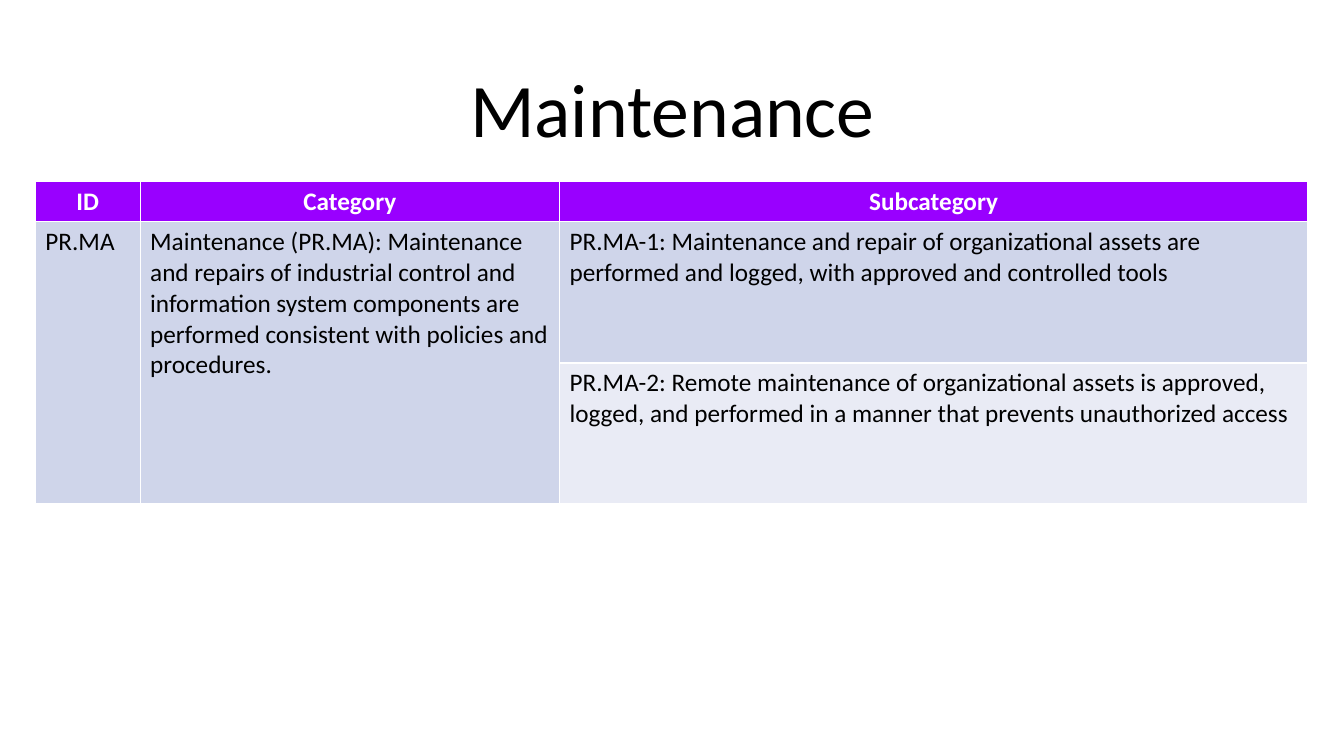
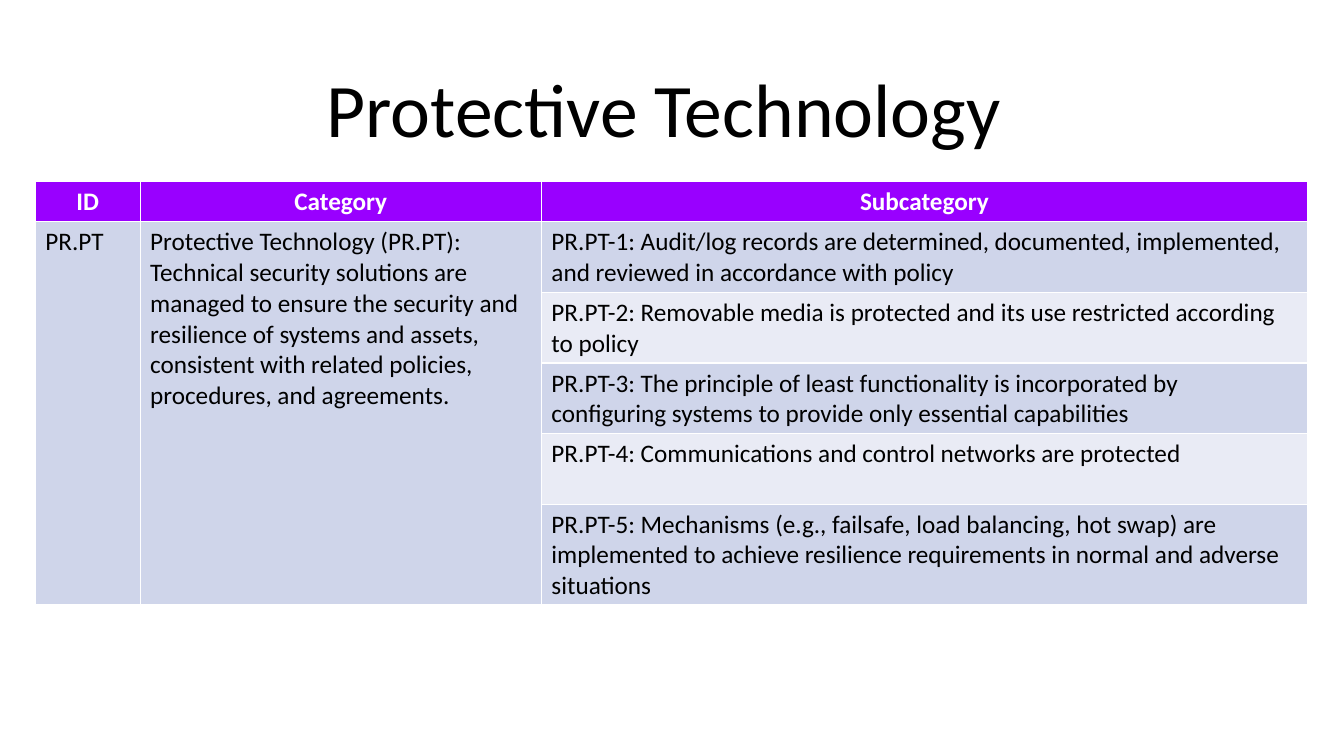
from pptx import Presentation
from pptx.dml.color import RGBColor
from pptx.enum.text import MSO_ANCHOR, PP_ALIGN
from pptx.util import Inches, Pt

BLACK = RGBColor(0x00, 0x00, 0x00)
WHITE = RGBColor(0xFF, 0xFF, 0xFF)
PURPLE = RGBColor(0x99, 0x00, 0xFF)
BANDS = (RGBColor(0xCF, 0xD5, 0xEA), RGBColor(0xE9, 0xEB, 0xF5))

TITLE_FONT = {"name": "Calibri", "size": Pt(54), "bold": False}
HEADER_FONT = {"name": "Calibri", "size": Pt(18), "bold": True}
BODY_FONT = {"name": "Calibri", "size": Pt(18), "bold": False}

HEADINGS = ("ID", "Category", "Subcategory")
TABLE_LEFT, TABLE_TOP, TABLE_WIDTH = 0.35, 1.8, 12.62
ID_WIDTH, HEADER_HEIGHT = 1.04, 0.37

SLIDES = [
    {
        "title": "Maintenance",
        "id": "PR.MA",
        "category": "Maintenance (PR.MA): Maintenance and repairs of industrial control and "
                    "information system components are performed consistent with policies "
                    "and procedures.",
        "subcategories": [
            "PR.MA-1: Maintenance and repair of organizational assets are performed and "
            "logged, with approved and controlled tools",
            "PR.MA-2: Remote maintenance of organizational assets is approved, logged, and "
            "performed in a manner that prevents unauthorized access",
        ],
        "category_width": 4.16,
        "row_height": 1.4,
    },
    {
        "title": "Protective Technology ",
        "id": "PR.PT",
        "category": "Protective Technology (PR.PT): Technical security solutions are managed "
                    "to ensure the security and resilience of systems and assets, consistent "
                    "with related policies, procedures, and agreements.",
        "subcategories": [
            "PR.PT-1: Audit/log records are determined, documented, implemented, and "
            "reviewed in accordance with policy",
            "PR.PT-2: Removable media is protected and its use restricted according to policy",
            "PR.PT-3: The principle of least functionality is incorporated by configuring "
            "systems to provide only essential capabilities",
            "PR.PT-4: Communications and control networks are protected",
            "PR.PT-5: Mechanisms (e.g., failsafe, load balancing, hot swap) are implemented "
            "to achieve resilience requirements in normal and adverse situations",
        ],
        "category_width": 3.98,
        "row_height": 0.7,
    },
]


def write(frame, content, font, color, align):
    para = frame.paragraphs[0]
    para.alignment = align
    span = para.add_run()
    span.text = content
    for name, value in font.items():
        setattr(span.font, name, value)
    span.font.color.rgb = color
    return para


def fill_cell(cell, content, fill, font=BODY_FONT, color=BLACK, align=PP_ALIGN.LEFT):
    cell.fill.solid()
    cell.fill.fore_color.rgb = fill
    write(cell.text_frame, content, font, color, align)


def add_title(page, title):
    box = page.shapes.add_textbox(Inches(0.92), Inches(0.4), Inches(11.5), Inches(1.45))
    frame = box.text_frame
    frame.word_wrap = True
    frame.vertical_anchor = MSO_ANCHOR.MIDDLE
    para = write(frame, title, TITLE_FONT, BLACK, PP_ALIGN.CENTER)
    para.line_spacing = 0.9


def add_category_table(page, content):
    """Add a table whose ID and category cells span all subcategory rows."""
    subcategories = content["subcategories"]
    count = len(subcategories)
    category_width = content["category_width"]
    widths = (ID_WIDTH, category_width, TABLE_WIDTH - ID_WIDTH - category_width)
    heights = [HEADER_HEIGHT] + [content["row_height"]] * count
    table = page.shapes.add_table(
        count + 1, len(HEADINGS), Inches(TABLE_LEFT), Inches(TABLE_TOP),
        Inches(TABLE_WIDTH), Inches(sum(heights))).table
    for column, width in zip(table.columns, widths):
        column.width = Inches(width)
    for row, height in zip(table.rows, heights):
        row.height = Inches(height)

    for col, heading in enumerate(HEADINGS):
        fill_cell(table.cell(0, col), heading, PURPLE, HEADER_FONT, WHITE, PP_ALIGN.CENTER)
    for col, key in enumerate(("id", "category")):
        table.cell(1, col).merge(table.cell(count, col))
        fill_cell(table.cell(1, col), content[key], BANDS[0])
    for index, subcategory in enumerate(subcategories):
        fill_cell(table.cell(index + 1, 2), subcategory, BANDS[index % 2])


def main():
    deck = Presentation()
    deck.slide_width, deck.slide_height = Inches(13.33), Inches(7.5)
    for content in SLIDES:
        page = deck.slides.add_slide(deck.slide_layouts[6])
        add_title(page, content["title"])
        add_category_table(page, content)
    deck.save("out.pptx")


if __name__ == "__main__":
    main()
